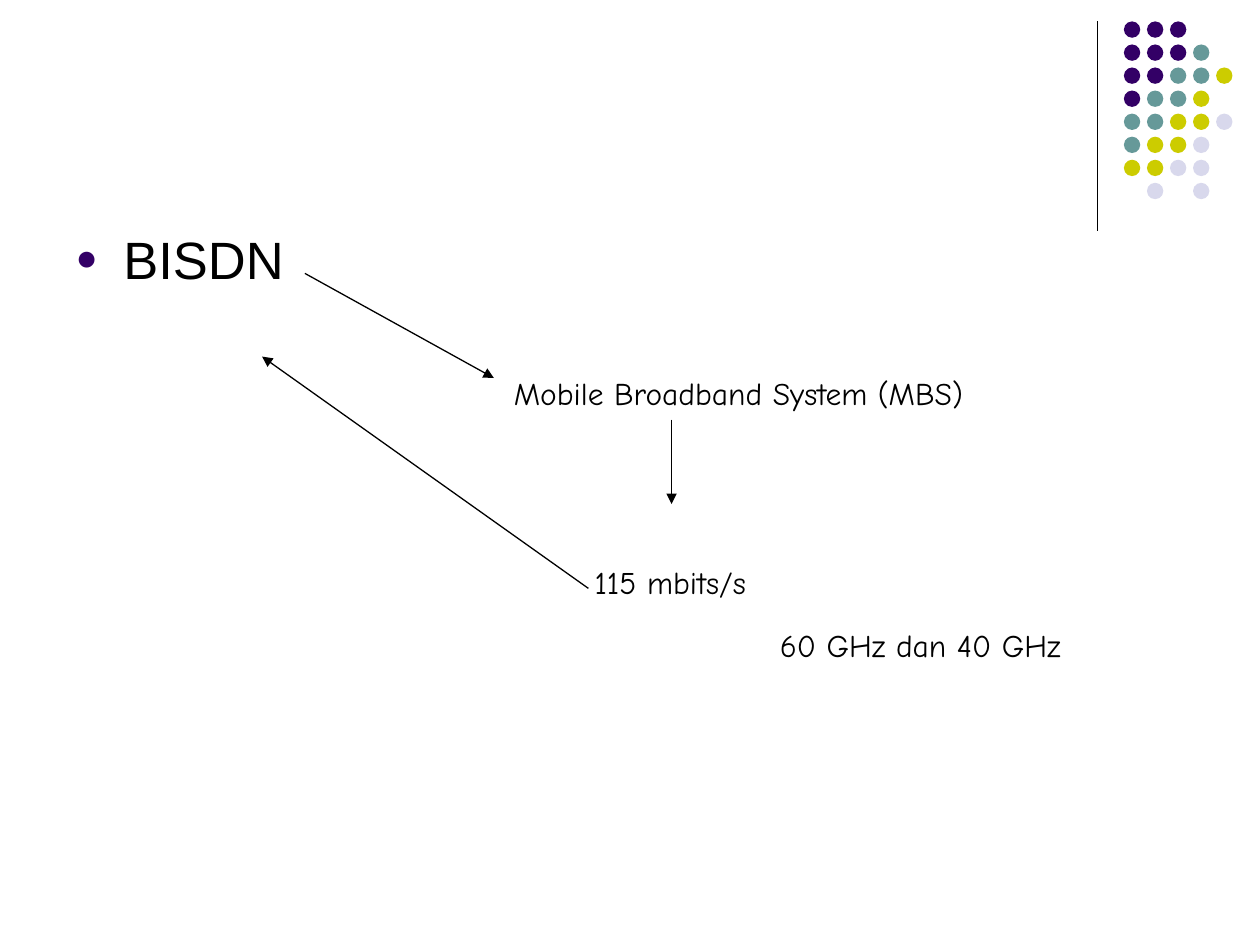
from lxml.etree import SubElement
from pptx import Presentation
from pptx.dml.color import RGBColor
from pptx.enum.shapes import MSO_CONNECTOR, MSO_SHAPE
from pptx.enum.text import MSO_ANCHOR, MSO_AUTO_SIZE
from pptx.oxml.ns import qn
from pptx.util import Inches, Pt

BLACK = RGBColor(0x00, 0x00, 0x00)
PURPLE = RGBColor(0x33, 0x00, 0x66)
TEAL = RGBColor(0x66, 0x99, 0x99)
OLIVE = RGBColor(0xCC, 0xCC, 0x00)
LILAC = RGBColor(0xD8, 0xD8, 0xEC)

BULLETS = ["BISDN"]
LABELS = [
    ("Mobile Broadband System (MBS)", 3.98, 2.92, 3.86),
    ("115 mbits/s", 4.62, 4.42, 1.48),
    ("60 GHz dan 40 GHz", 6.09, 4.92, 2.51),
]
ARROWS = [
    ((2.42, 2.17), (3.92, 3)),
    ((5.33, 3.33), (5.33, 4)),
    ((4.67, 4.67), (2.08, 2.83)),
]
DIVIDER = ((8.71, 0.17), (8.71, 1.83))
DOT_ROWS = ["PPP", "PPPT", "PPTTO", "PTTO", "TTOOL", "TOOL", "OOLL", " L L"]
DOT_COLORS = {"P": PURPLE, "T": TEAL, "O": OLIVE, "L": LILAC}
DOT_LEFT, DOT_TOP, DOT_STEP, DOT_SIZE = 8.92, 0.17, 0.183, 0.13


def add_run(p, text, font, size):
    r = p.add_run()
    r.text = text
    r.font.name = font
    r.font.size = Pt(size)
    r.font.color.rgb = BLACK


def add_line(s, start, end, arrow=False):
    line = s.shapes.add_connector(
        MSO_CONNECTOR.STRAIGHT, *[Inches(v) for v in start + end])
    line.line.color.rgb = BLACK
    line.line.width = Pt(0.75)
    if arrow:
        SubElement(line.line._get_or_add_ln(), qn("a:tailEnd"), type="triangle")
    SubElement(line._element.spPr, qn("a:effectLst"))


def add_dots(s):
    dots = s.shapes.add_group_shape()
    for row, keys in enumerate(DOT_ROWS):
        for col, key in enumerate(keys):
            if key not in DOT_COLORS:
                continue
            dot = dots.shapes.add_shape(
                MSO_SHAPE.OVAL, Inches(DOT_LEFT + col * DOT_STEP),
                Inches(DOT_TOP + row * DOT_STEP), Inches(DOT_SIZE), Inches(DOT_SIZE))
            dot.shadow.inherit = False
            dot.fill.solid()
            dot.fill.fore_color.rgb = DOT_COLORS[key]
            dot.line.fill.background()


def fill_body(body):
    body.left, body.top = Inches(0.5), Inches(1.75)
    body.width, body.height = Inches(9), Inches(4.95)
    tf = body.text_frame
    tf.auto_size = MSO_AUTO_SIZE.NONE
    for i, text in enumerate(BULLETS):
        p = tf.add_paragraph() if i else tf.paragraphs[0]
        p.space_before = Pt(7.5)
        pPr = p._p.get_or_add_pPr()
        pPr.set("marL", str(Inches(0.38)))
        pPr.set("indent", str(Inches(-0.38)))
        color = SubElement(pPr, qn("a:buClr"))
        SubElement(color, qn("a:srgbClr"), val=str(PURPLE))
        SubElement(pPr, qn("a:buSzPct"), val="70000")
        SubElement(pPr, qn("a:buFont"), typeface="Arial")
        SubElement(pPr, qn("a:buChar"), char="●")
        add_run(p, text, "Arial", 30)


def add_label(s, text, left, top, width):
    sp = s.shapes.add_textbox(Inches(left), Inches(top), Inches(width), Inches(0.4))
    tf = sp.text_frame
    tf.word_wrap = False
    tf.auto_size = MSO_AUTO_SIZE.SHAPE_TO_FIT_TEXT
    tf.vertical_anchor = MSO_ANCHOR.MIDDLE
    add_run(tf.paragraphs[0], text, "Comic Neue", 18)


def main():
    prs = Presentation()
    prs.slide_width, prs.slide_height = Inches(10), Inches(7.5)
    s = prs.slides.add_slide(prs.slide_layouts[1])
    title = s.shapes.title._element
    title.getparent().remove(title)
    fill_body(s.placeholders[1])
    add_line(s, *DIVIDER)
    add_dots(s)
    for label in LABELS:
        add_label(s, *label)
    for start, end in ARROWS:
        add_line(s, start, end, arrow=True)
    prs.save("out.pptx")


if __name__ == "__main__":
    main()
